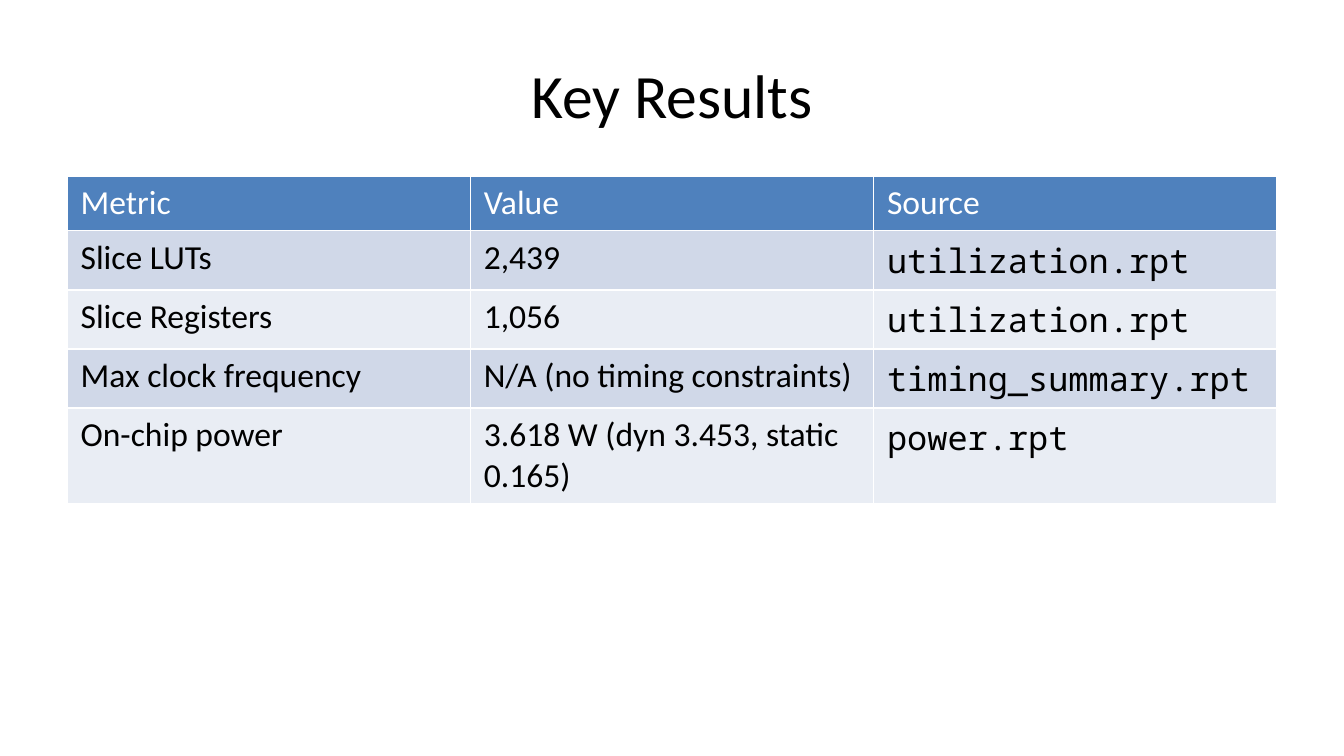
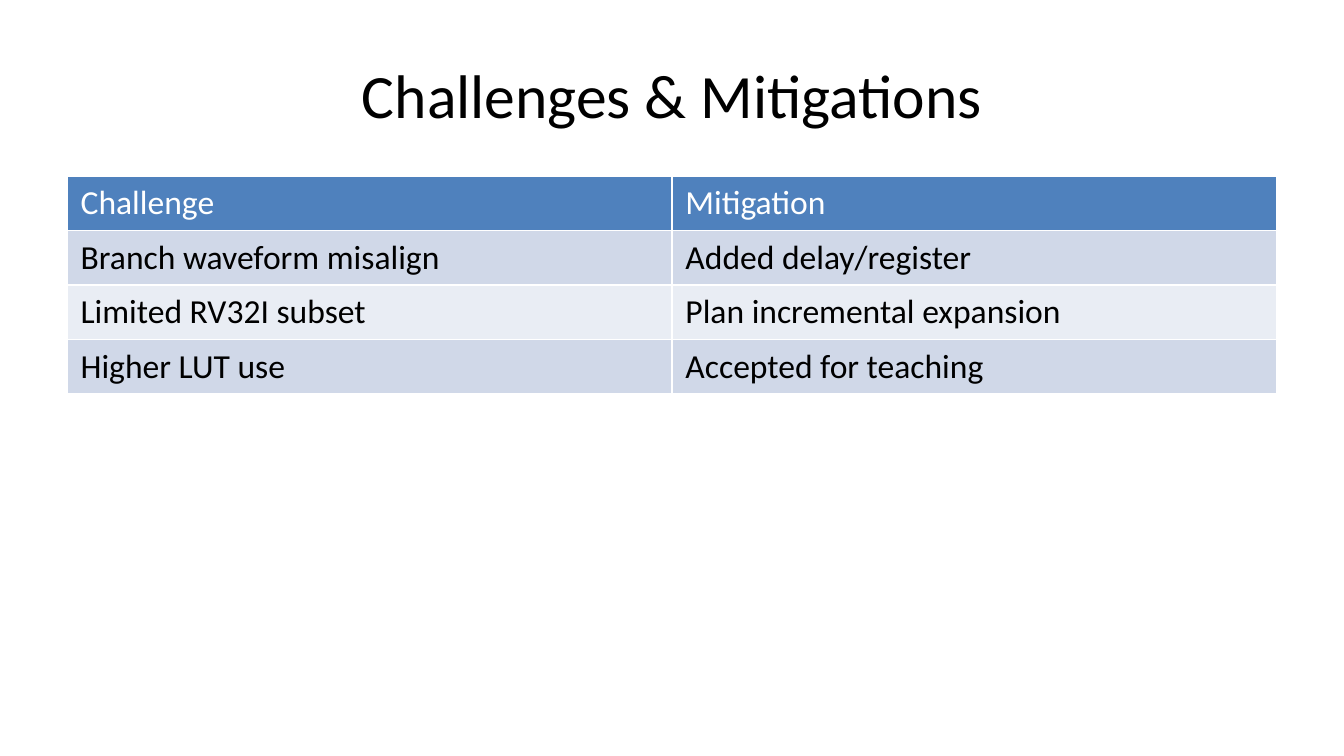
import pptx
import pptx.util
import pptx.dml.color
import pptx.enum.text

SLIDES = [
    ("Key Results", [
        ("Metric", "Value", "Source"),
        ("Slice LUTs", "2,439", "utilization.rpt"),
        ("Slice Registers", "1,056", "utilization.rpt"),
        ("Max clock frequency", "N/A (no timing constraints)", "timing_summary.rpt"),
        ("On-chip power", "3.618 W (dyn 3.453, static 0.165)", "power.rpt"),
    ]),
    ("Challenges & Mitigations", [
        ("Challenge", "Mitigation"),
        ("Branch waveform misalign", "Added delay/register"),
        ("Limited RV32I subset", "Plan incremental expansion"),
        ("Higher LUT use", "Accepted for teaching"),
    ]),
]

Cm = pptx.util.Cm
TEXT_FONT, FILE_FONT = "Calibri", "Noto Sans Mono"
BLACK, WHITE = "000000", "FFFFFF"
HEADER_FILL = "4F81BD"
BAND_FILLS = ("E9EDF4", "D0D8E8")
LEFT, WIDTH = Cm(1.27), Cm(22.86)
TITLE_TOP, TITLE_HEIGHT = Cm(0.58), Cm(2.38)
TABLE_TOP, TABLE_HEIGHT = Cm(3.33), Cm(9.42)


def rgb(color):
    return pptx.dml.color.RGBColor.from_string(color)


def format_runs(text_frame, font_name, size, color):
    for paragraph in text_frame.paragraphs:
        for run in paragraph.runs:
            run.font.name = font_name
            run.font.size = pptx.util.Pt(size)
            run.font.bold = False
            run.font.color.rgb = rgb(color)


def add_title(slide, text):
    title = slide.shapes.title
    title.left, title.top, title.width, title.height = LEFT, TITLE_TOP, WIDTH, TITLE_HEIGHT
    title.text_frame.text = text
    title.text_frame.vertical_anchor = pptx.enum.text.MSO_ANCHOR.MIDDLE
    title.text_frame.paragraphs[0].alignment = pptx.enum.text.PP_ALIGN.CENTER
    format_runs(title.text_frame, TEXT_FONT, 33, BLACK)


def add_table(slide, rows):
    frame = slide.shapes.add_table(
        len(rows), len(rows[0]), LEFT, TABLE_TOP, WIDTH, TABLE_HEIGHT)
    for row_index, values in enumerate(rows):
        frame.table.rows[row_index].height = Cm(0)
        is_header = row_index == 0
        for column_index, value in enumerate(values):
            cell = frame.table.cell(row_index, column_index)
            cell.fill.solid()
            cell.fill.fore_color.rgb = rgb(HEADER_FILL if is_header else BAND_FILLS[row_index % 2])
            cell.text_frame.text = value
            font_name = FILE_FONT if value.endswith(".rpt") else TEXT_FONT
            format_runs(cell.text_frame, font_name, 18, WHITE if is_header else BLACK)
    frame.height = TABLE_HEIGHT


def main():
    presentation = pptx.Presentation()
    presentation.slide_width, presentation.slide_height = Cm(25.4), Cm(14.29)
    title_only = presentation.slide_layouts.get_by_name("Title Only")
    for title, rows in SLIDES:
        slide = presentation.slides.add_slide(title_only)
        add_title(slide, title)
        add_table(slide, rows)
    presentation.save("out.pptx")


if __name__ == "__main__":
    main()
